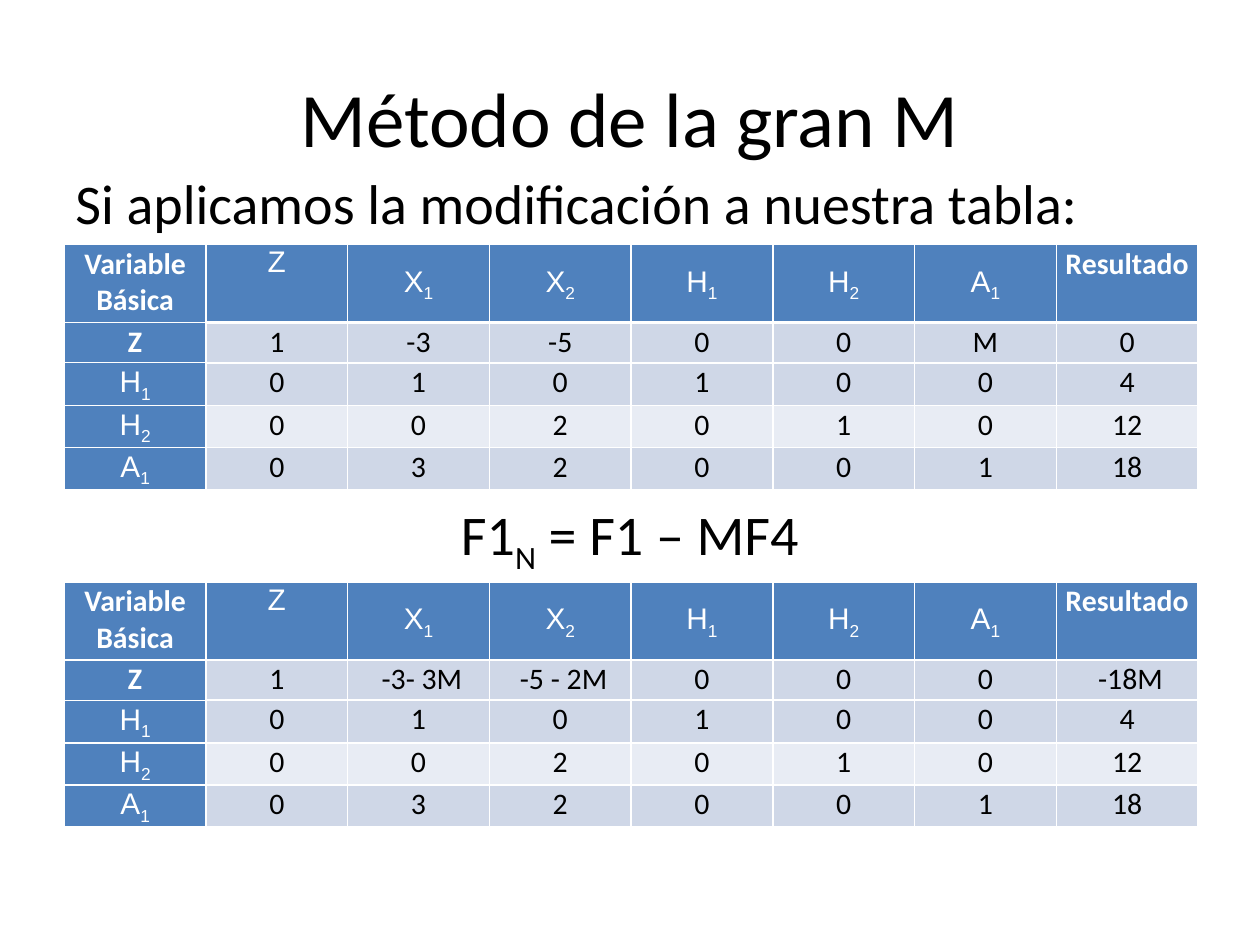
from lxml.etree import SubElement
from pptx import Presentation
from pptx.dml.color import RGBColor
from pptx.enum.text import MSO_ANCHOR as Anchor, PP_ALIGN as Align
from pptx.oxml.ns import qn
from pptx.util import Pt

BLACK, WHITE = "000000", "FFFFFF"
BLUE, BAND, LIGHT_BAND = "4F81BD", "CFD7E7", "E8ECF4"
COLUMN_WIDTH = 81
ROW_HEIGHTS = [44.6, 23, 24.5, 23.8, 23.8]
HEADER = ["Variable Básica", "Z", "X_1", "X_2", "H_1", "H_2", "A_1", "Resultado"]
FIRST_Z_ROW = ["Z", "1", "-3", "-5", "0", "0", "M", "0"]
SECOND_Z_ROW = ["Z", "1", " -3- 3M", " -5 - 2M", "0", "0", "0", " -18M"]
CONSTRAINT_ROWS = [
    ["H_1", "0", "1", "0", "1", "0", "0", "4"],
    ["H_2", "0", "0", "2", "0", "1", "0", "12"],
    ["A_1", "0", "3", "2", "0", "0", "1", "18"],
]


def color(value):
    return RGBColor.from_string(value)


def add_run(paragraph, text, size, ink=BLACK, font="Calibri", bold=False, subscript=False):
    run = paragraph.add_run()
    run.text = text
    run.font.size = Pt(size)
    run.font.name = font
    run.font.bold = bold
    run.font.color.rgb = color(ink)
    if subscript:
        run._r.get_or_add_rPr().set("baseline", "-25000")


def add_text_box(slide, left, top, width, height, anchor):
    frame = slide.shapes.add_textbox(Pt(left), Pt(top), Pt(width), Pt(height)).text_frame
    frame.word_wrap = True
    frame.vertical_anchor = anchor
    frame.margin_left = frame.margin_right = Pt(7.2)
    frame.margin_top = frame.margin_bottom = Pt(7.2)
    return frame


def add_title(slide):
    paragraph = add_text_box(slide, 36, 21.6, 648, 90, Anchor.MIDDLE).paragraphs[0]
    paragraph.alignment = Align.CENTER
    add_run(paragraph, "Método de la gran M", 44)


def add_body(slide):
    frame = add_text_box(slide, 36, 88.8, 648, 393.6, Anchor.TOP)
    add_run(frame.paragraphs[0], "Si aplicamos la modificación a nuestra tabla:", 32)
    formula = frame.add_paragraph()
    formula.alignment = Align.CENTER
    formula.space_before = Pt(151)
    add_run(formula, "F1", 32)
    add_run(formula, "N", 32, subscript=True)
    add_run(formula, " = F1 – MF4", 32)


def set_borders(cell, top, bottom):
    properties = cell._tc.get_or_add_tcPr()
    for side, width in (("L", 1), ("R", 1), ("T", top), ("B", bottom)):
        line = SubElement(properties, qn(f"a:ln{side}"), w=str(Pt(width)))
        fill = SubElement(line, qn("a:solidFill"))
        SubElement(fill, qn("a:srgbClr"), val=WHITE)


def fill_cell(cell, text, row, column):
    is_label = row == 0 or column == 0
    is_bold = text in (HEADER[0], HEADER[-1]) or (text == "Z" and column == 0)
    font = "Arial" if is_label and not is_bold else "Calibri"
    ink = WHITE if is_label else BLACK
    set_borders(
        cell,
        top=1.5 if column and row in (1, 2) else 1,
        bottom=1.5 if column and row in (0, 1) else 1,
    )
    cell.fill.solid()
    cell.fill.fore_color.rgb = color(BLUE if is_label else LIGHT_BAND if row == 3 else BAND)
    cell.margin_left = cell.margin_right = cell.margin_top = Pt(0.72)
    cell.margin_bottom = Pt(0)
    base, _, index = text.partition("_")
    cell.vertical_anchor = Anchor.MIDDLE if index else Anchor.TOP
    paragraph = cell.text_frame.paragraphs[0]
    paragraph.alignment = Align.CENTER
    add_run(paragraph, base, 17, ink, font, is_bold)
    if index:
        add_run(paragraph, index, 17, ink, font, subscript=True)


def add_simplex_table(slide, top, z_row):
    rows = [HEADER, z_row, *CONSTRAINT_ROWS]
    table = slide.shapes.add_table(
        len(rows), len(HEADER), Pt(36.7), Pt(top),
        Pt(COLUMN_WIDTH * len(HEADER)), Pt(sum(ROW_HEIGHTS)),
    ).table
    for column in table.columns:
        column.width = Pt(COLUMN_WIDTH)
    for row, height in zip(table.rows, ROW_HEIGHTS):
        row.height = Pt(height)
    for row, texts in enumerate(rows):
        for column, text in enumerate(texts):
            fill_cell(table.cell(row, column), text, row, column)


def main():
    presentation = Presentation()
    presentation.slide_width = Pt(720)
    presentation.slide_height = Pt(540)
    slide = presentation.slides.add_slide(presentation.slide_layouts[6])
    add_title(slide)
    add_body(slide)
    add_simplex_table(slide, 139.7, FIRST_Z_ROW)
    add_simplex_table(slide, 332.6, SECOND_Z_ROW)
    presentation.save("out.pptx")


if __name__ == "__main__":
    main()
